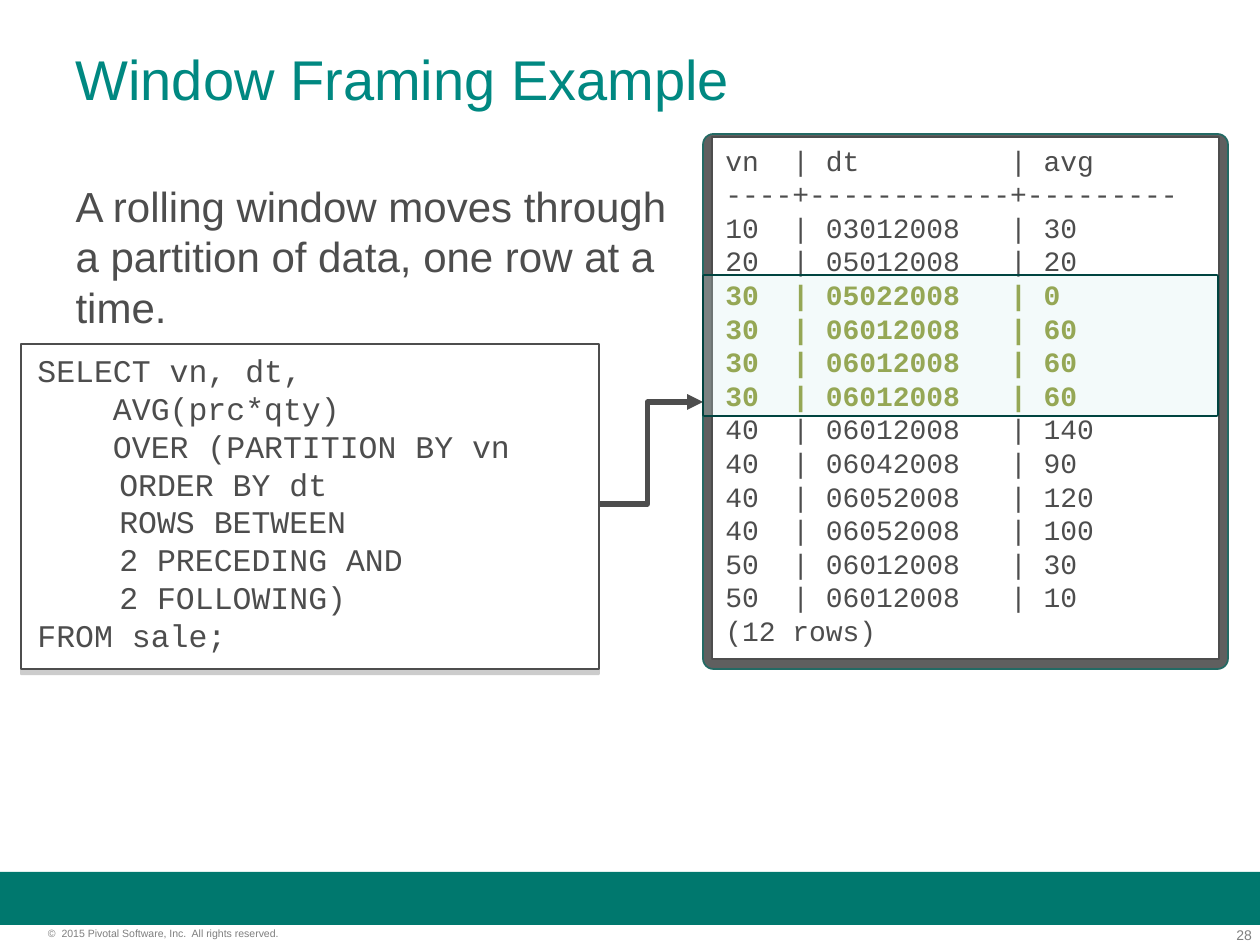
from lxml import etree
from pptx import Presentation
from pptx import util as u
from pptx.dml import color
from pptx.enum import shapes, text
from pptx.oxml import ns

GREY = "4D4D4D"
OLIVE = "828F23"
MONO = "Courier New"

QUERY = "\v".join([
    "SELECT vn, dt,",
    "    AVG(prc*qty)",
    "    OVER (PARTITION BY vn",
    "\t ORDER BY dt",
    "\t ROWS BETWEEN",
    "\t 2 PRECEDING AND",
    "\t 2 FOLLOWING)",
    "FROM sale;",
])
ROWS = [
    (10, "03012008", 30), (20, "05012008", 20),
    (30, "05022008", 0), (30, "06012008", 60),
    (30, "06012008", 60), (30, "06012008", 60),
    (40, "06012008", 140), (40, "06042008", 90),
    (40, "06052008", 120), (40, "06052008", 100),
    (50, "06012008", 30), (50, "06012008", 10),
]
FRAMED_PARTITION = 30


def px(length):
    return u.Emu(round(length * 914400 / 126))


def rgb(value):
    return color.RGBColor.from_string(value)


def add_xml(parent, tag, **attributes):
    return etree.SubElement(parent, ns.qn(tag), attributes)


def style(para, size, ink, font="Arial", bold=False):
    para.font.size = u.Pt(size)
    para.font.name = font
    para.font.bold = bold
    para.font.color.rgb = rgb(ink)


def place(box, left, top, width, height):
    box.left, box.top = px(left), px(top)
    box.width, box.height = px(width), px(height)


def add_text(slide, bounds, words, inset=True):
    box = slide.shapes.add_textbox(*map(px, bounds))
    frame = box.text_frame
    frame.word_wrap = True
    if not inset:
        frame.margin_left = frame.margin_right = 0
        frame.margin_top = frame.margin_bottom = 0
    frame.text = words
    return frame.paragraphs


def add_panel(slide, bounds, fill, line=None, corner=None):
    kind = shapes.MSO_SHAPE.RECTANGLE
    if corner is not None:
        kind = shapes.MSO_SHAPE.ROUNDED_RECTANGLE
    panel = slide.shapes.add_shape(kind, *map(px, bounds))
    if corner is not None:
        panel.adjustments[0] = corner
    panel.shadow.inherit = False
    panel.fill.solid()
    panel.fill.fore_color.rgb = rgb(fill)
    if line:
        panel.line.color.rgb = rgb(line)
        panel.line.width = u.Pt(1)
    else:
        panel.line.fill.background()
    return panel


def add_footer(slide):
    add_panel(slide, (0, 872, 1260, 53), "00786E")
    number = add_text(slide, (1178, 927, 74, 16), "28", inset=False)[0]
    number.alignment = text.PP_ALIGN.RIGHT
    style(number, 8, "7F7F7F")
    notice = add_text(
        slide, (48, 927, 314, 13),
        "©  2015 Pivotal Software, Inc.  All rights reserved.", inset=False)[0]
    style(notice, 6, "7F7F7F")


def fill_placeholders(slide):
    title, body = slide.placeholders
    place(title, 63, 38, 1134, 157)
    place(body, 63, 174, 1134, 624)
    title.text_frame.text = "Window Framing Example"
    body.text_frame.text = ("A rolling window moves through\v"
                            "a partition of data, one row at a\vtime.")
    for box in (title, body):
        box.text_frame.vertical_anchor = text.MSO_ANCHOR.TOP
        box.text_frame.paragraphs[0].alignment = text.PP_ALIGN.LEFT
    style(title.text_frame.paragraphs[0], 32, "008881")
    para = body.text_frame.paragraphs[0]
    properties = para._p.get_or_add_pPr()
    properties.set("marL", "0")
    properties.set("indent", "0")
    add_xml(properties, "a:buNone")
    para.space_before = u.Pt(0)
    style(para, 24, GREY)


def add_elbow_arrow(slide, start, end):
    arrow = slide.shapes.add_connector(
        shapes.MSO_CONNECTOR.ELBOW, *map(px, start + end))
    arrow.line.color.rgb = rgb(GREY)
    arrow.line.width = u.Pt(3)
    add_xml(arrow.line._get_or_add_ln(), "a:tailEnd", type="triangle")
    add_xml(arrow._element.spPr, "a:effectLst")


def add_result(slide):
    add_panel(slide, (703, 134, 525, 535), "5F5F5F", "236A64", corner=0.02)
    add_panel(slide, (712, 137, 507, 522), "FFFFFF", GREY)
    lines = [f"{vn:<4}| {dt:<11}| {avg}"
             for vn, dt, avg in [("vn", "dt", "avg")] + ROWS]
    lines.insert(1, "+".join("-" * count for count in (4, 12, 9)))
    lines.append("(12 rows)")
    for para in add_text(slide, (713, 137, 501, 551), "\n".join(lines)):
        framed = para.text.startswith(str(FRAMED_PARTITION))
        style(para, 16, OLIVE if framed else GREY, MONO, framed)
    window = add_panel(
        slide, (703, 275, 515, 141), "D1EFEC", "004440", corner=0.01)
    tint = window.fill._xPr.find(".//" + ns.qn("a:srgbClr"))
    add_xml(tint, "a:alpha", val="25000")


def add_query(slide):
    panel = add_panel(slide, (21, 344, 578, 325), "FFFFFF", GREY)
    effects = panel._element.spPr.find(ns.qn("a:effectLst"))
    shadow = add_xml(effects, "a:outerShdw", blurRad="0",
                     dist=str(u.Pt(3)), dir="5400000", rotWithShape="0")
    shade = add_xml(shadow, "a:srgbClr", val="808080")
    add_xml(shade, "a:alpha", val="40000")
    para = add_text(slide, (25, 345, 567, 315), QUERY)[0]
    tabs = add_xml(para._p.get_or_add_pPr(), "a:tabLst")
    add_xml(tabs, "a:tab", pos=str(u.Inches(0.5)), algn="l")
    style(para, 18, GREY, MONO)


def main():
    deck = Presentation()
    deck.slide_width, deck.slide_height = px(1260), px(945)
    slide = deck.slides.add_slide(deck.slide_layouts[1])
    add_footer(slide)
    fill_placeholders(slide)
    add_elbow_arrow(slide, (592, 504), (703, 402))
    add_result(slide)
    add_query(slide)
    deck.save("out.pptx")


if __name__ == "__main__":
    main()
